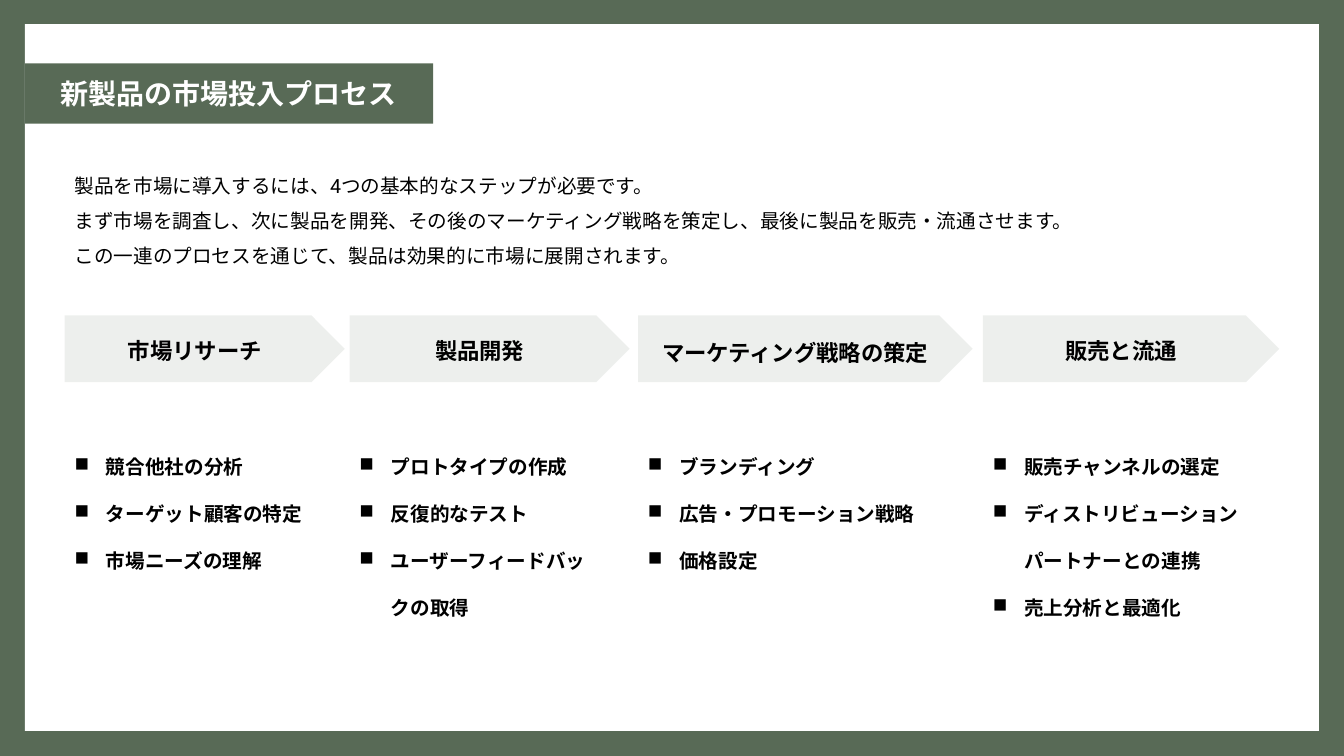
from lxml import etree
from pptx import Presentation
from pptx.dml.color import RGBColor
from pptx.enum.shapes import MSO_SHAPE
from pptx.enum.text import MSO_AUTO_SIZE, PP_ALIGN
from pptx.oxml.ns import qn
from pptx.util import Cm, Pt

GREEN = RGBColor(0x58, 0x6A, 0x56)
WHITE = RGBColor(0xFF, 0xFF, 0xFF)
BLACK = RGBColor(0x00, 0x00, 0x00)
RECT = MSO_SHAPE.RECTANGLE
ROUND_RECT = MSO_SHAPE.ROUNDED_RECTANGLE
HOME_PLATE = MSO_SHAPE.PENTAGON
LEFT = PP_ALIGN.LEFT
CENTER = PP_ALIGN.CENTER
FIT_SHAPE = MSO_AUTO_SIZE.SHAPE_TO_FIT_TEXT

TITLE = "新製品の市場投入プロセス"
INTRO = [
    "製品を市場に導入するには、4つの基本的なステップが必要です。",
    "まず市場を調査し、次に製品を開発、その後のマーケティング戦略を策定し、最後に製品を販売・流通させます。",
    "この一連のプロセスを通じて、製品は効果的に市場に展開されます。",
]
STEPS = [
    {"name": "市場リサーチ", "left": 1.63, "width": 7.06,
     "label_width": 5.64, "label_top": 8.18, "list_width": 6.5, "list_height": 3.66,
     "tasks": ["競合他社の分析", "ターゲット顧客の特定", "市場ニーズの理解"]},
    {"name": "製品開発", "left": 8.81, "width": 7.06,
     "label_width": 5.64, "label_top": 8.18, "list_width": 6.27, "list_height": 4.85,
     "tasks": ["プロトタイプの作成", "反復的なテスト", "ユーザーフィードバックの取得"]},
    {"name": "マーケティング戦略の策定", "left": 16.08, "width": 8.43,
     "label_width": 7.87, "label_top": 8.23, "list_width": 7.87, "list_height": 3.66,
     "tasks": ["ブランディング", "広告・プロモーション戦略", "価格設定"]},
    {"name": "販売と流通", "left": 24.77, "width": 7.47,
     "label_width": 5.64, "label_top": 8.18, "list_width": 6.93, "list_height": 4.85,
     "tasks": ["販売チャンネルの選定", "ディストリビューションパートナーとの連携", "売上分析と最適化"]},
]


class SlideBuilder:
    font_name = "Roboto"
    bullet = "■"
    indent = Cm(0.79)

    def __init__(self, prs):
        self.slide = prs.slides.add_slide(prs.slide_layouts[6])

    def background(self, color):
        fill = self.slide.background.fill
        fill.solid()
        fill.fore_color.rgb = color

    def shape(self, kind, left, top, width, height, color, opacity=None):
        sp = self.slide.shapes.add_shape(kind, Cm(left), Cm(top), Cm(width), Cm(height))
        sp.shadow.inherit = False
        sp.fill.solid()
        sp.fill.fore_color.rgb = color
        sp.line.fill.background()
        if opacity is not None:
            clr = sp.fill._xPr.find(".//" + qn("a:srgbClr"))
            etree.SubElement(clr, qn("a:alpha"), val=str(opacity * 1000))
        return sp

    def text(self, lines, left, top, width, height, size, spacing=1.0,
             bold=True, color=BLACK, align=LEFT, bulleted=False):
        sp = self.slide.shapes.add_textbox(Cm(left), Cm(top), Cm(width), Cm(height))
        tf = sp.text_frame
        tf.word_wrap = True
        tf.auto_size = FIT_SHAPE
        formats = {"name": self.font_name, "size": Pt(size), "bold": bold}
        for i, line in enumerate(lines):
            p = tf.paragraphs[0] if i == 0 else tf.add_paragraph()
            p.alignment = align
            p.line_spacing = spacing
            if bulleted:
                self.add_bullet(p)
            r = p.add_run()
            r.text = line
            for key, value in formats.items():
                setattr(r.font, key, value)
            r.font.color.rgb = color
            rPr = r._r.get_or_add_rPr()
            rPr.set("lang", "ja-JP")
            etree.SubElement(rPr, qn("a:ea"), typeface=self.font_name)
        return sp

    def add_bullet(self, p):
        pPr = p._p.get_or_add_pPr()
        pPr.set("marL", str(self.indent))
        pPr.set("indent", str(-self.indent))
        etree.SubElement(pPr, qn("a:buChar"), char=self.bullet)

    def step(self, step):
        left, width, label_width = step["left"], step["width"], step["label_width"]
        self.shape(HOME_PLATE, left, 7.95, width, 1.68, GREEN, opacity=10)
        label_left = left + (width - 0.5 - label_width) / 2
        self.text([step["name"]], label_left, step["label_top"], label_width, 1.07,
                  16, spacing=1.3, align=CENTER)
        self.text(step["tasks"], left, 10.74, step["list_width"], step["list_height"],
                  14, spacing=2.0, bulleted=True)


def main():
    prs = Presentation()
    prs.slide_width = Cm(33.87)
    prs.slide_height = Cm(19.05)
    builder = SlideBuilder(prs)
    builder.background(GREEN)
    panel = builder.shape(ROUND_RECT, 0.63, 0.61, 32.61, 17.81, WHITE)
    panel.adjustments[0] = 0
    builder.shape(RECT, 0.63, 1.6, 10.29, 1.52, GREEN)
    builder.text([TITLE], 1.27, 1.8, 9.4, 1.11, 20, color=WHITE)
    builder.text(INTRO, 1.63, 3.96, 30.61, 2.84, 14, spacing=1.5, bold=False)
    for step in STEPS:
        builder.step(step)
    prs.save("out.pptx")


if __name__ == "__main__":
    main()
